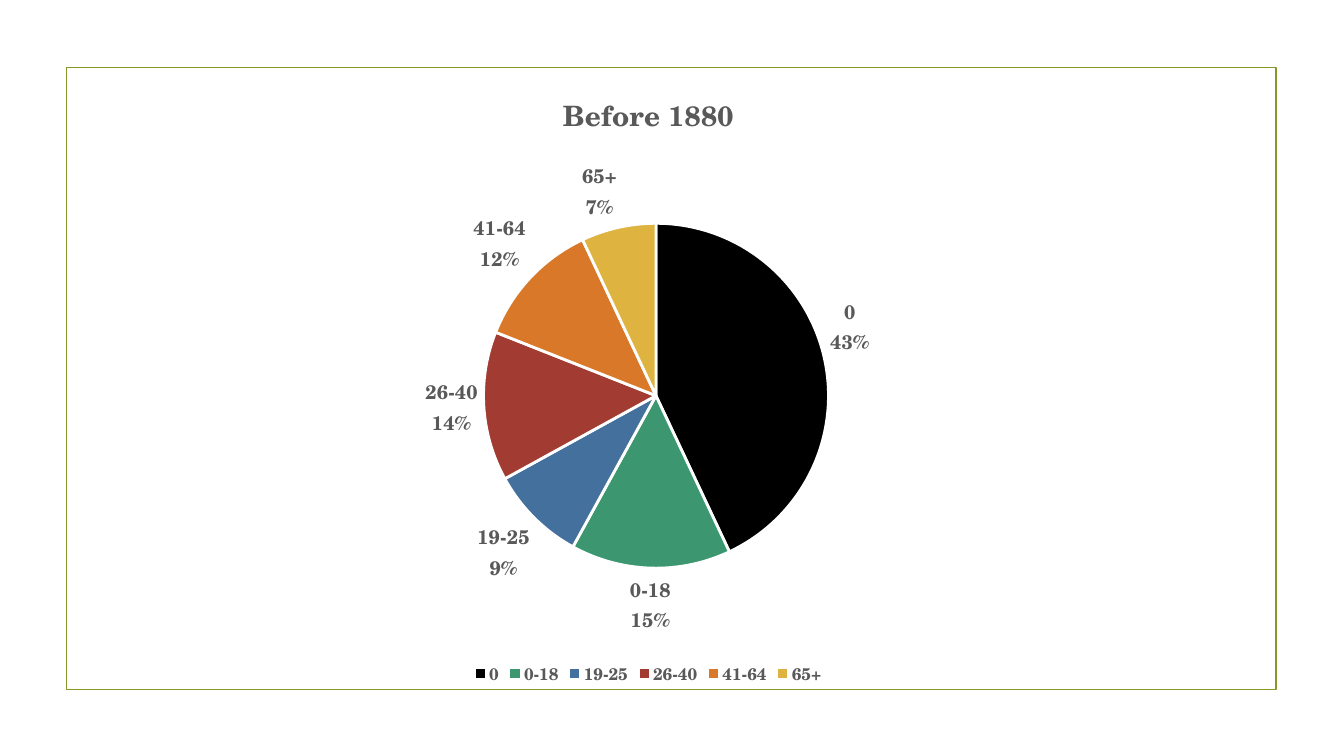
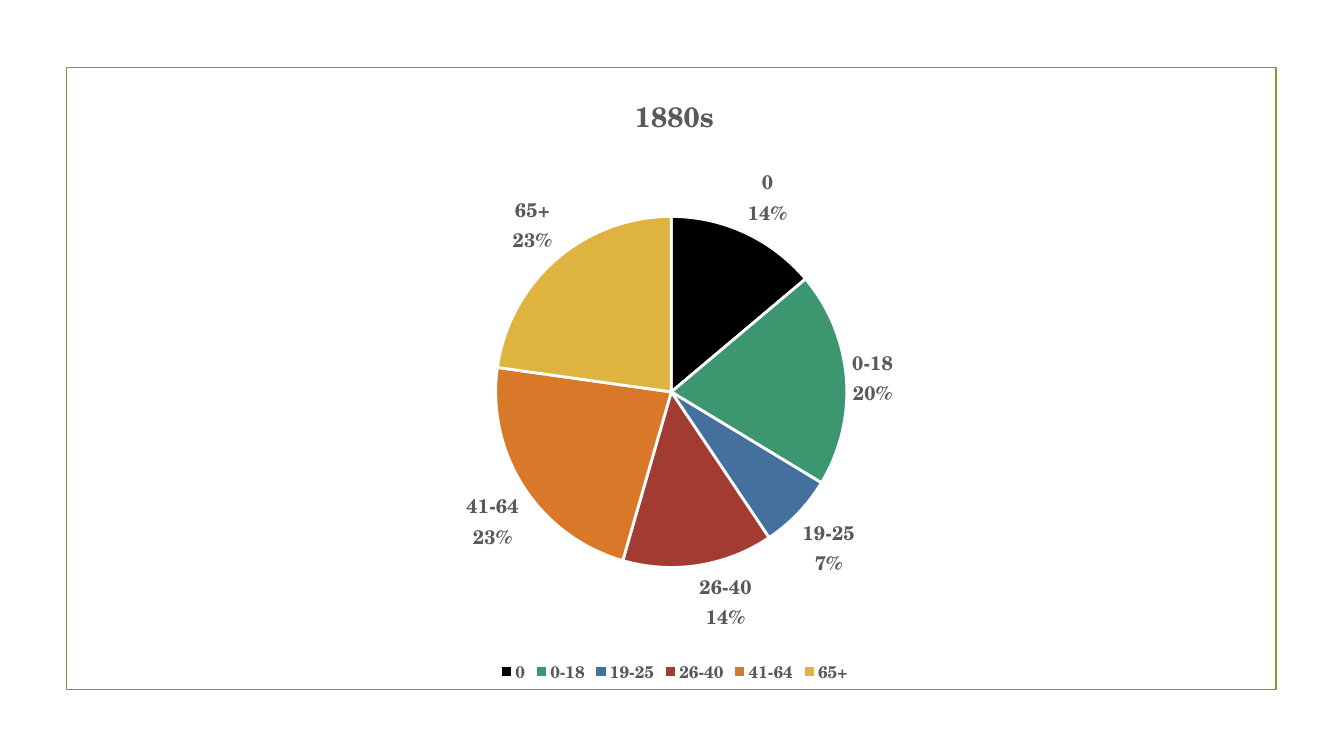
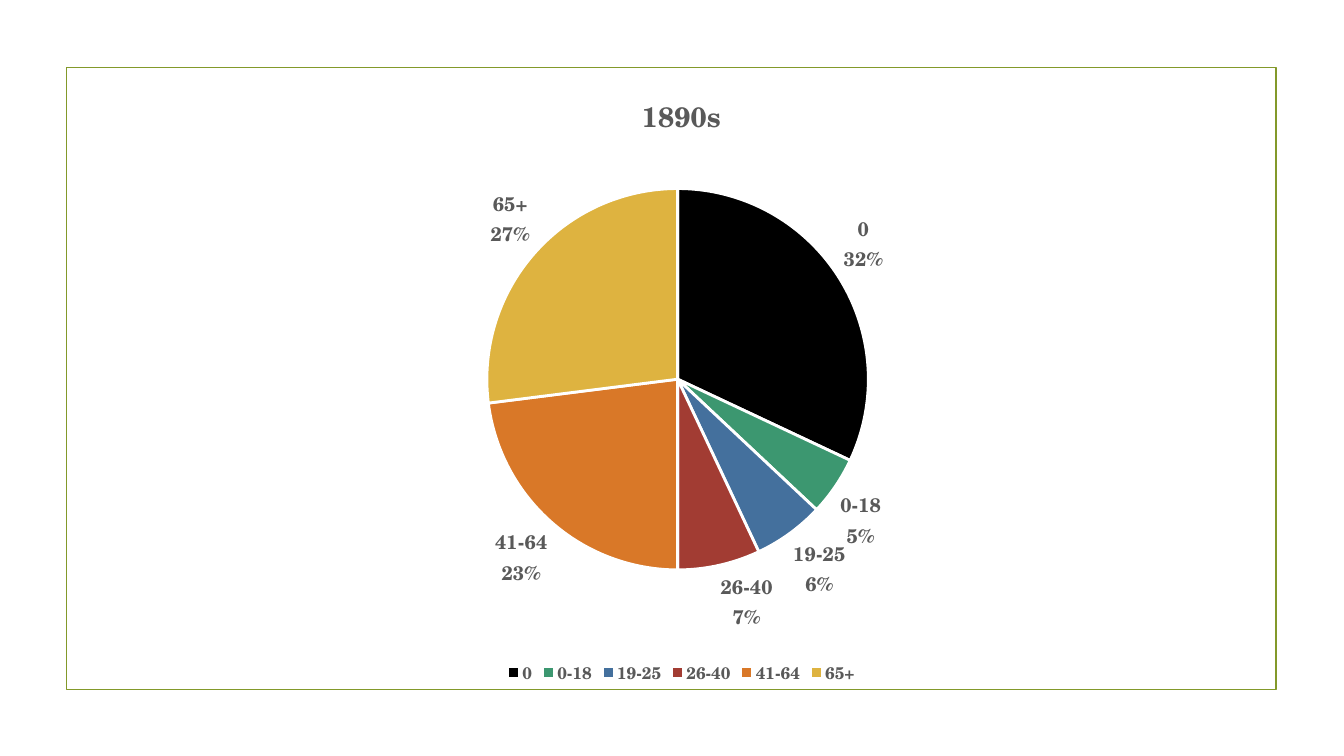
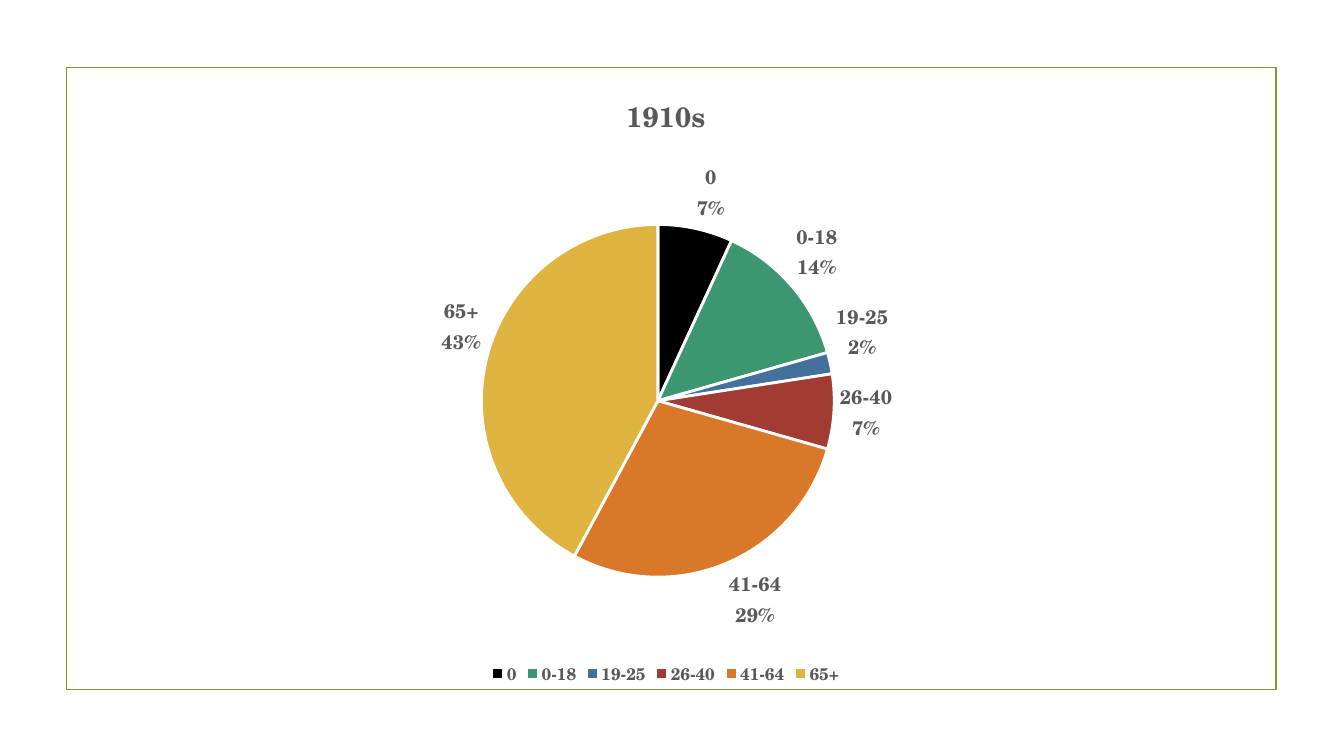
import pptx
import pptx.chart.data
import pptx.dml.color
import pptx.enum.chart
import pptx.enum.shapes
import pptx.oxml
import pptx.oxml.ns
import pptx.util

Inches = pptx.util.Inches
Pt = pptx.util.Pt


def color(hex_string):
    return pptx.dml.color.RGBColor.from_string(hex_string)


class AgeDeck:
    FONT = "TeX Gyre Schola"
    BASE_FONT = "Times New Roman"
    BLACK = "000000"
    WHITE = "FFFFFF"
    TEXT = "595959"
    FRAME = "83992A"
    AGE_COLORS = {
        "0": BLACK,
        "0-18": "3C9770",
        "19-25": "44709D",
        "26-40": "A23C33",
        "41-64": "D97828",
        "65+": "DEB340",
    }

    def __init__(self):
        self.presentation = pptx.Presentation()
        self.presentation.slide_width = Inches(13.33)
        self.presentation.slide_height = Inches(7.5)
        self.slide = None

    def add_slide(self):
        self.slide = self.presentation.slides.add_slide(self.presentation.slide_layouts[6])
        fill = self.slide.background.fill
        fill.solid()
        fill.fore_color.rgb = color(self.WHITE)
        self.add_frame()

    def add_frame(self):
        frame = self.slide.shapes.add_shape(
            pptx.enum.shapes.MSO_SHAPE.RECTANGLE,
            Inches(0.66), Inches(0.67), Inches(12), Inches(6.17),
        )
        frame.shadow.inherit = False
        frame.fill.background()
        frame.line.color.rgb = color(self.FRAME)
        frame.line.width = Pt(1.25)

    def style_font(self, font, size):
        font.name = self.FONT
        font.size = Pt(size)
        font.bold = True
        font.color.rgb = color(self.TEXT)

    def add_pie(self, title, series_name, values, box):
        data = pptx.chart.data.CategoryChartData(number_format='0"%"')
        data.categories = list(self.AGE_COLORS)
        data.add_series(series_name, values)
        chart = self.slide.shapes.add_chart(
            pptx.enum.chart.XL_CHART_TYPE.PIE, *map(Inches, box), data
        ).chart
        chart.font.name = self.BASE_FONT
        chart.font.size = Pt(10)
        chart.font.color.rgb = color(self.BLACK)
        self.add_title(chart, title)
        self.add_legend(chart)
        self.color_slices(chart.plots[0])
        self.add_labels(chart.plots[0].series[0])

    def add_title(self, chart, title):
        chart.has_title = True
        run = chart.chart_title.text_frame.paragraphs[0].add_run()
        run.text = title
        self.style_font(run.font, 20)
        chart.chart_title.include_in_layout = False

    def add_legend(self, chart):
        chart.has_legend = True
        chart.legend.position = pptx.enum.chart.XL_LEGEND_POSITION.BOTTOM
        chart.legend.include_in_layout = False
        self.style_font(chart.legend.font, 12)

    def color_slices(self, plot):
        plot.vary_by_categories = True
        for index, fill_color in enumerate(self.AGE_COLORS.values()):
            slice_format = plot.series[0].points[index].format
            slice_format.fill.solid()
            slice_format.fill.fore_color.rgb = color(fill_color)
            slice_format.line.color.rgb = color(self.WHITE)
            slice_format.line.width = Pt(2)

    def add_labels(self, series):
        labels = series.data_labels
        labels.show_category_name = True
        labels.show_value = True
        labels.show_percentage = False
        labels.number_format = '0"%"'
        labels.number_format_is_linked = False
        labels.position = pptx.enum.chart.XL_LABEL_POSITION.OUTSIDE_END
        self.style_font(labels.font, 14)
        separator = pptx.oxml.parse_xml(
            f"<c:separator {pptx.oxml.ns.nsdecls('c')}>\n</c:separator>"
        )
        anchor = labels._element.find(pptx.oxml.ns.qn("c:showBubbleSize"))
        if anchor is None:
            anchor = labels._element.find(pptx.oxml.ns.qn("c:showPercent"))
        anchor.addnext(separator)


def main():
    periods = [
        ("Before 1880", "Series 1", (43, 15, 9, 14, 12, 7), (2.55, 0.66, 7.76, 6.19)),
        ("1880s", "1880s", (14, 20, 7, 14, 23, 23), (2.39, 0.67, 8.6, 6.16)),
        ("1890s", "1890s", (32, 5, 6, 7, 23, 27), (2.84, 0.67, 7.84, 6.17)),
        ("1910s", "1910s", (7, 14, 2, 7, 29, 43), (2.27, 0.67, 8.67, 6.18)),
    ]
    deck = AgeDeck()
    for period in periods:
        deck.add_slide()
        deck.add_pie(*period)
    deck.presentation.save("out.pptx")


if __name__ == "__main__":
    main()
